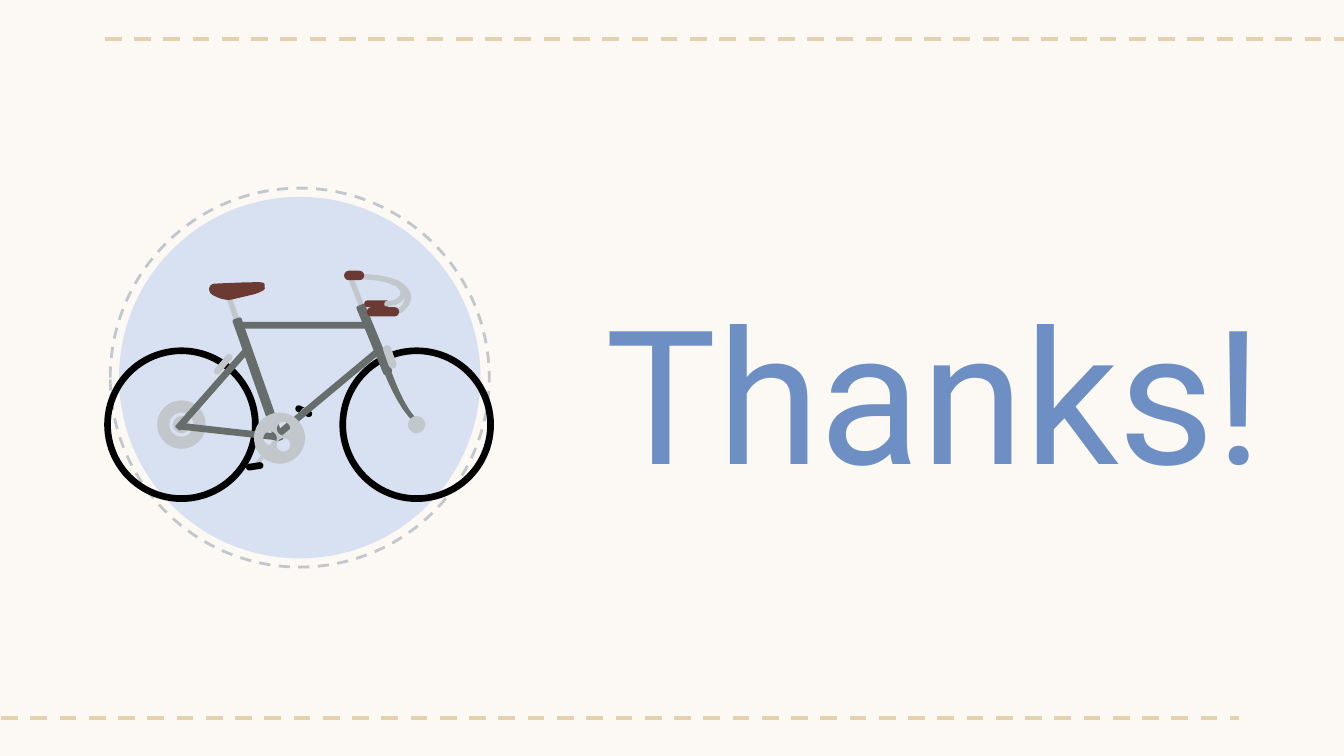
import math

from lxml import etree
from pptx import Presentation
from pptx.dml.color import RGBColor
from pptx.enum.dml import MSO_LINE
from pptx.enum.shapes import MSO_CONNECTOR, MSO_SHAPE
from pptx.enum.text import MSO_ANCHOR, MSO_AUTO_SIZE, PP_ALIGN
from pptx.oxml.ns import qn
from pptx.util import Inches, Pt

STRAIGHT, DASH = MSO_CONNECTOR.STRAIGHT, MSO_LINE.DASH
OVAL, DONUT, ROUNDED = MSO_SHAPE.OVAL, MSO_SHAPE.DONUT, MSO_SHAPE.ROUNDED_RECTANGLE
CREAM = RGBColor(0xFC, 0xF8, 0xF4)
SAND = RGBColor(0xE4, 0xD1, 0xAD)
BLUE = RGBColor(0x6E, 0x8F, 0xC3)
PALE_BLUE = RGBColor(0xD8, 0xE1, 0xF1)
SILVER = RGBColor(0xC2, 0xC7, 0xCC)
STEEL = RGBColor(0x67, 0x6D, 0x6B)
BROWN = RGBColor(0x6B, 0x3A, 0x32)
BLACK = RGBColor(0, 0, 0)

TITLE = "Thanks!"
RULES = [(-0.21, 9.22, 5.34), (0.78, 10.21, 0.29)]  # x start, x end, y
REAR, FRONT, CRANK = (1.35, 3.16), (3.1, 3.16), (2.08, 3.26)  # axle centres
WHEEL, TYRE = 1.15, 0.05
SQUARISH, ROUND = 0.2, 0.5  # corner rounding of a bar

# Outlines: start point, then line ends (x, y) or Bezier triples (x1, y1, x2, y2, x, y)
FORK = [(2.89, 2.72), (2.9, 2.72, 2.9, 2.72, 2.9, 2.73), (2.9, 2.73, 3.01, 3.07, 3.13, 3.14),
        (3.14, 3.15, 3.12, 3.16, 3.1, 3.16), (3.1, 3.16, 3.09, 3.16, 3.09, 3.15),
        (2.96, 3.05, 2.85, 2.75, 2.85, 2.75), (2.85, 2.74, 2.85, 2.73, 2.86, 2.73)]
HANDLEBAR = [(2.69, 2.04), (2.81, 2.04, 2.9, 2.06, 2.97, 2.09),
             (3.05, 2.14, 3.06, 2.19, 3.06, 2.22), (3.05, 2.28, 3, 2.34, 2.93, 2.34),
             (2.92, 2.34, 2.92, 2.33, 2.92, 2.32), (2.92, 2.3, 2.93, 2.3, 2.93, 2.3),
             (2.98, 2.3, 3.01, 2.26, 3.01, 2.22), (3.01, 2.21),
             (3, 2.25, 2.94, 2.28, 2.88, 2.28), (2.86, 2.28, 2.86, 2.27, 2.86, 2.26),
             (2.86, 2.25, 2.87, 2.24, 2.88, 2.24), (2.94, 2.24, 2.98, 2.21, 2.98, 2.18),
             (2.98, 2.16, 2.96, 2.13, 2.92, 2.12), (2.88, 2.1, 2.81, 2.08, 2.68, 2.08),
             (2.67, 2.08, 2.66, 2.07, 2.66, 2.06), (2.66, 2.05, 2.67, 2.04, 2.69, 2.04)]
SADDLE = [(1.91, 2.1), (1.94, 2.1, 1.97, 2.1, 1.97, 2.12), (1.97, 2.14),
          (1.98, 2.16, 1.92, 2.18, 1.89, 2.19), (1.72, 2.23),
          (1.65, 2.24, 1.56, 2.19, 1.56, 2.17), (1.55, 2.14, 1.56, 2.11, 1.61, 2.11),
          (1.61, 2.11, 1.82, 2.1, 1.89, 2.1)]
CHAINRING = [(*CRANK, 0.19), (2.11, 3.19, 0.05), (2.01, 3.26, 0.05), (2.11, 3.31, 0.05)]

# Parts from back to front; a bar is start, end, width, rounding
BICYCLE = [
    ("ring", SILVER, (REAR, 0.36, 0.09)),
    ("ring", BLACK, (FRONT, WHEEL, TYRE)),
    ("bar", BLACK, ((2.2, 3.03), (2.32, 3.09), 0.05, ROUND)),  # far pedal
    ("disc", SILVER, (REAR, 0.13)),
    ("bar", SILVER, ((2.27, 3.04), (2.1, 3.25), 0.03, ROUND)),  # far crank
    ("ring", BLACK, (REAR, WHEEL, TYRE)),
    ("bar", SILVER, ((2.59, 2.02), (2.75, 2.43), 0.04, SQUARISH)),  # stem
    ("bar", SILVER, ((1.7, 2.2), (1.87, 2.7), 0.04, SQUARISH)),  # seat post
    ("bar", STEEL, ((1.76, 2.37), (2.08, 3.28), 0.07, SQUARISH)),  # seat tube
    ("bar", STEEL, ((2.68, 2.27), (2.89, 2.78), 0.07, SQUARISH)),  # head tube
    ("outline", STEEL, (FORK,)),
    ("bar", STEEL, ((1.76, 2.42), (2.73, 2.42), 0.05, SQUARISH)),  # top tube
    ("bar", STEEL, ((2.06, 3.24), (2.84, 2.59), 0.05, SQUARISH)),  # down tube
    ("bar", STEEL, ((1.32, 3.19), (1.84, 2.6), 0.05, SQUARISH)),  # seat stay
    ("bar", STEEL, ((1.33, 3.17), (2.05, 3.25), 0.05, SQUARISH)),  # chain stay
    ("chainring", SILVER, (CHAINRING,)),
    ("bar", SILVER, ((2.05, 3.28), (1.88, 3.49), 0.03, ROUND)),  # near crank
    ("bar", BLACK, ((1.83, 3.48), (1.96, 3.46), 0.05, ROUND)),  # near pedal
    ("disc", SILVER, (FRONT, 0.13)),
    ("bar", BROWN, ((2.71, 2.26), (2.9, 2.26), 0.05, ROUND)),  # far drop grip
    ("outline", SILVER, (HANDLEBAR,)),
    ("outline", BROWN, (SADDLE,)),
    ("bar", BROWN, ((2.73, 2.32), (2.97, 2.32), 0.07, ROUND)),  # near drop grip
    ("bar", BROWN, ((2.56, 2.05), (2.71, 2.05), 0.07, ROUND)),  # top grip
    ("bar", SILVER, ((1.6, 2.78), (1.72, 2.64), 0.05, ROUND)),  # rear brake
    ("bar", SILVER, ((2.87, 2.57), (2.93, 2.74), 0.06, ROUND)),  # front brake
]


def paint(sp, color):
    sp.shadow.inherit = False
    sp.fill.solid()
    sp.fill.fore_color.rgb = color
    sp.line.fill.background()
    return sp


def centred(shapes, kind, centre, w, h):
    x, y = centre
    return shapes.add_shape(kind, Inches(x - w / 2), Inches(y - h / 2), Inches(w), Inches(h))


def disc(shapes, centre, size):
    return centred(shapes, OVAL, centre, size, size)


def ring(shapes, centre, size, thickness):
    sp = centred(shapes, DONUT, centre, size, size)
    sp.adjustments[0] = thickness / size
    return sp


def bar(shapes, start, end, width, rounding):
    """Rounded rectangle turned to run from start to end."""
    dx, dy = end[0] - start[0], end[1] - start[1]
    middle = (start[0] + dx / 2, start[1] + dy / 2)
    sp = centred(shapes, ROUNDED, middle, math.hypot(dx, dy), width)
    sp.adjustments[0] = rounding
    sp.rotation = math.degrees(math.atan2(dy, dx))
    return sp


def freeform(shapes, contours):
    contours = [[(Inches(x), Inches(y)) for x, y in contour] for contour in contours]
    fb = shapes.build_freeform(*contours[0][0])
    fb.add_line_segments(contours[0][1:])
    for contour in contours[1:]:
        fb.move_to(*contour[0])
        fb.add_line_segments(contour[1:])
    return fb.convert_to_shape()


def outline(shapes, steps, samples=8):
    points = [steps[0]]
    for step in steps[1:]:
        if len(step) == 2:
            points.append(step)
            continue
        controls = [points[-1], step[:2], step[2:4], step[4:]]
        for i in range(1, samples + 1):
            t = i / samples
            weights = [(1 - t) ** 3, 3 * t * (1 - t) ** 2, 3 * t * t * (1 - t), t ** 3]
            points.append(tuple(sum(w * c[axis] for w, c in zip(weights, controls))
                                for axis in (0, 1)))
    return freeform(shapes, [points])


def chainring(shapes, circles, samples=48):
    """First circle with the others cut out of it."""
    angles = [2 * math.pi * i / samples for i in range(samples + 1)]
    return freeform(shapes, [[(x + r * math.cos(a), y + r * math.sin(a)) for a in angles]
                             for x, y, r in circles])


def dash_line(line, color, width):
    line.color.rgb = color
    line.width = Pt(width)
    line.dash_style = DASH


def write(tf, text, font, size, color, align):
    p = tf.paragraphs[0]
    p.alignment = align
    r = p.add_run()
    r.text = text
    r.font.name, r.font.size, r.font.color.rgb = font, Pt(size), color


PARTS = {"disc": disc, "ring": ring, "bar": bar, "outline": outline, "chainring": chainring}

prs = Presentation()
prs.slide_width = Inches(10)
prs.slide_height = prs.slide_width * 9 // 16
slide = prs.slides.add_slide(prs.slide_layouts[5])
slide.background.fill.solid()
slide.background.fill.fore_color.rgb = CREAM

for x1, x2, y in RULES:
    rule = slide.shapes.add_connector(STRAIGHT, Inches(x1), Inches(y), Inches(x2), Inches(y))
    dash_line(rule.line, SAND, 2.25)
    etree.SubElement(rule._element.spPr, qn("a:effectLst"))

title = slide.shapes.title
title.left, title.top, title.width, title.height = map(Inches, (4.26, 2, 5.24, 1.8))
tf = title.text_frame
tf.word_wrap = True
tf.auto_size = MSO_AUTO_SIZE.NONE
tf.vertical_anchor = MSO_ANCHOR.MIDDLE
tf.margin_left = tf.margin_right = tf.margin_top = tf.margin_bottom = Inches(0.1)
write(tf, TITLE, font="Roboto", size=100, color=BLUE, align=PP_ALIGN.RIGHT)

badge = slide.shapes.add_group_shape().shapes
border = disc(badge, (2.23, 2.81), 2.82)
border.shadow.inherit = False
border.fill.background()
dash_line(border.line, SILVER, 1.5)
paint(disc(badge, (2.23, 2.81), 2.69), PALE_BLUE)

bicycle = slide.shapes.add_group_shape().shapes
for part, color, args in BICYCLE:
    paint(PARTS[part](bicycle, *args), color)

prs.save("out.pptx")
